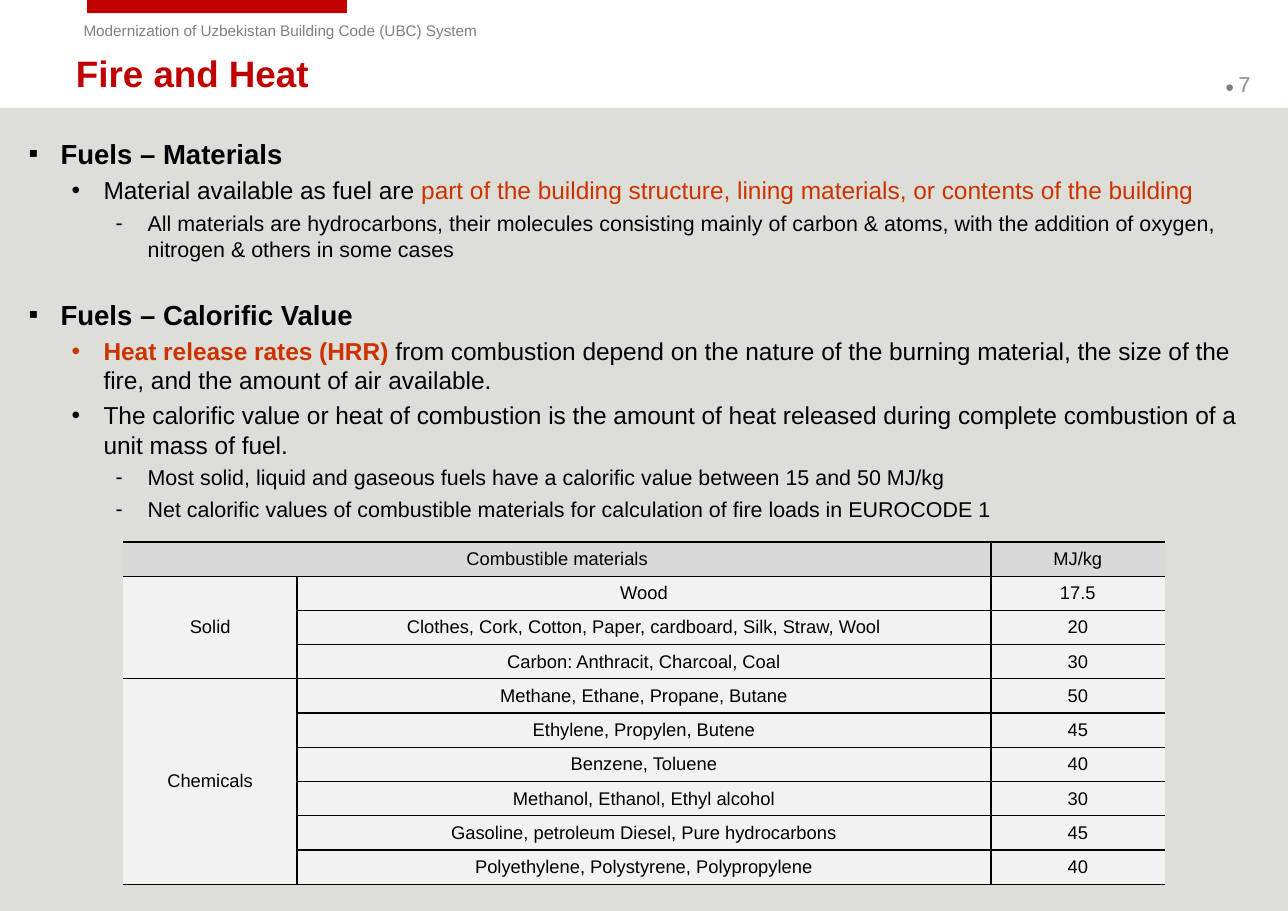
import pptx
import pptx.dml.color
import pptx.enum.shapes
import pptx.enum.text
import pptx.oxml
import pptx.oxml.ns
import pptx.util

Inches, Pt = pptx.util.Inches, pptx.util.Pt
MIDDLE = pptx.enum.text.MSO_ANCHOR.MIDDLE
COLORS = {
    "black": "000000", "red": "C00000", "accent": "CC3300", "panel": "DEDED8",
    "gray": "808080", "number": "8C8C8C", "header": "D9D9D9", "body": "F2F2F2",
}
WIDTH, HEIGHT = 11.69, 8.27

deck = pptx.Presentation()
deck.slide_width, deck.slide_height = Inches(WIDTH), Inches(HEIGHT)
page = deck.slides.add_slide(deck.slide_layouts[6])


def add_text_box(left, top, width, height, margins=(0.11, 0.06)):
    box = page.shapes.add_textbox(*map(Inches, (left, top, width, height)))
    frame = box.text_frame
    frame.word_wrap = True
    frame.margin_left = frame.margin_right = Inches(margins[0])
    frame.margin_top = frame.margin_bottom = Inches(margins[1])
    return frame


def style(span, size, color, bold=False):
    span.font.name = "Arial"
    span.font.size = Pt(size)
    span.font.bold = bold
    span.font.color.rgb = pptx.dml.color.RGBColor.from_string(COLORS[color])


# Background panel and top tab
panel_top = 0.98
for left, top, width, height, color in [
    (0, panel_top, WIDTH, HEIGHT - panel_top, "panel"),
    (0.79, 0, 2.36, 0.12, "red"),
]:
    block = page.shapes.add_shape(
        pptx.enum.shapes.MSO_SHAPE.RECTANGLE, *map(Inches, (left, top, width, height)))
    block.shadow.inherit = False
    block.fill.solid()
    block.fill.fore_color.rgb = pptx.dml.color.RGBColor.from_string(COLORS[color])
    block.line.fill.background()

# Running header, page number and title
header = add_text_box(0.66, 0.14, 4.68, 0.27, (0.1, 0.05))
header.text = "Modernization of Uzbekistan Building Code (UBC) System"
style(header.paragraphs[0].runs[0], 10, "gray")

number = add_text_box(11.01, 0.54, 0.68, 0.44)
number.vertical_anchor = MIDDLE
for text, size, color in [("● ", 10, "gray"), ("7", 14, "number")]:
    span = number.paragraphs[0].add_run()
    span.text = text
    style(span, size, color)

title = add_text_box(0.58, 0.46, 10.42, 0.4)
title.vertical_anchor = MIDDLE
title.text = "Fire and Heat"
style(title.paragraphs[0].runs[0], 24, "red", True)

# Outline: each level has a bullet, a left indent and a text size
LEVELS = [("▪", 0.29, 18), ("•", 0.68, 16), ("-", 1.08, 14)]
HANGING = 0.29
SPACE_BEFORE, SECTION_GAP = 3.6, 23.6
outline = [
    (0, [("Fuels – Materials", "black", True)]),
    (1, [("Material available as fuel are ", "black", False),
         ("part of the building structure, lining materials, or contents of the building",
          "accent", False)]),
    (2, [("All materials are hydrocarbons, their molecules consisting mainly of carbon & atoms, "
          "with the addition of oxygen, nitrogen & others in some cases", "black", False)]),
    (0, [("Fuels – Calorific Value", "black", True)]),
    (1, [("Heat release rates (HRR) ", "accent", True),
         ("from combustion depend on the nature of the burning material, the size of the fire, "
          "and the amount of air available.", "black", False)]),
    (1, [("The calorific value or heat of combustion is the amount of heat released during "
          "complete combustion of a unit mass of fuel.", "black", False)]),
    (2, [("Most solid, liquid and gaseous fuels have a calorific value between 15 and 50 MJ/kg",
          "black", False)]),
    (2, [("Net calorific values of combustible materials for calculation of fire loads in "
          "EUROCODE 1", "black", False)]),
]
body = add_text_box(0.15, 1.18, 11.38, 6.87)
for index, (level, spans) in enumerate(outline):
    para = body.add_paragraph() if index else body.paragraphs[0]
    bullet, indent, size = LEVELS[level]
    para.level = level
    properties = para._p.get_or_add_pPr()
    properties.set("marL", str(Inches(indent)))
    properties.set("indent", str(-Inches(HANGING)))
    for tag, key, value in [("buFont", "typeface", "Arial"), ("buChar", "char", bullet)]:
        properties.append(pptx.oxml.parse_xml(
            f'<a:{tag} {pptx.oxml.ns.nsdecls("a")} {key}="{value}"/>'))
    if index:
        para.space_before = Pt(SPACE_BEFORE if level else SECTION_GAP)
    for text, color, bold in spans:
        span = para.add_run()
        span.text = text
        style(span, size, color, bold)

# Calorific value table
rows = [
    ("Combustible materials", "", "MJ/kg"),
    ("Solid", "Wood", "17.5"),
    ("", "Clothes, Cork, Cotton, Paper, cardboard, Silk, Straw, Wool", "20"),
    ("", "Carbon: Anthracit, Charcoal, Coal", "30"),
    ("Chemicals", "Methane, Ethane, Propane, Butane", "50"),
    ("", "Ethylene, Propylen, Butene", "45"),
    ("", "Benzene, Toluene", "40"),
    ("", "Methanol, Ethanol, Ethyl alcohol", "30"),
    ("", "Gasoline, petroleum Diesel, Pure hydrocarbons", "45"),
    ("", "Polyethylene, Polystyrene, Polypropylene", "40"),
]
COLUMN_WIDTHS = [1.575, 6.3, 1.575]
ROW_HEIGHT = 0.311
table = page.shapes.add_table(
    len(rows), len(COLUMN_WIDTHS), Inches(1.12), Inches(4.92),
    Inches(sum(COLUMN_WIDTHS)), Inches(ROW_HEIGHT * len(rows))).table
for column, width in zip(table.columns, COLUMN_WIDTHS):
    column.width = Inches(width)
for row in table.rows:
    row.height = Inches(ROW_HEIGHT)
for first, last in [((0, 0), (0, 1)), ((1, 0), (3, 0)), ((4, 0), (9, 0))]:
    table.cell(*first).merge(table.cell(*last))

last_column = len(COLUMN_WIDTHS) - 1
for row_index, texts in enumerate(rows):
    for column_index, text in enumerate(texts):
        cell = table.cell(row_index, column_index)
        cell.vertical_anchor = MIDDLE
        cell.margin_left = cell.margin_right = Inches(0.04)
        cell.margin_top = cell.margin_bottom = 0
        cell.fill.solid()
        cell.fill.fore_color.rgb = pptx.dml.color.RGBColor.from_string(
            COLORS["body" if row_index else "header"])
        para = cell.text_frame.paragraphs[0]
        para.text = text
        para.alignment = pptx.enum.text.PP_ALIGN.CENTER
        style(para, 12, "black")
        # The outer left and right edges stay open
        sides = {"L": column_index > 0, "R": column_index < last_column, "T": True, "B": True}
        for position, (side, visible) in enumerate(sides.items()):
            paint = (f'<a:solidFill><a:srgbClr val="{COLORS["black"]}"/></a:solidFill>'
                     if visible else "<a:noFill/>")
            border = pptx.oxml.parse_xml(
                f'<a:ln{side} {pptx.oxml.ns.nsdecls("a")} w="{Pt(1)}">{paint}</a:ln{side}>')
            cell._tc.get_or_add_tcPr().insert(position, border)

deck.save("out.pptx")
